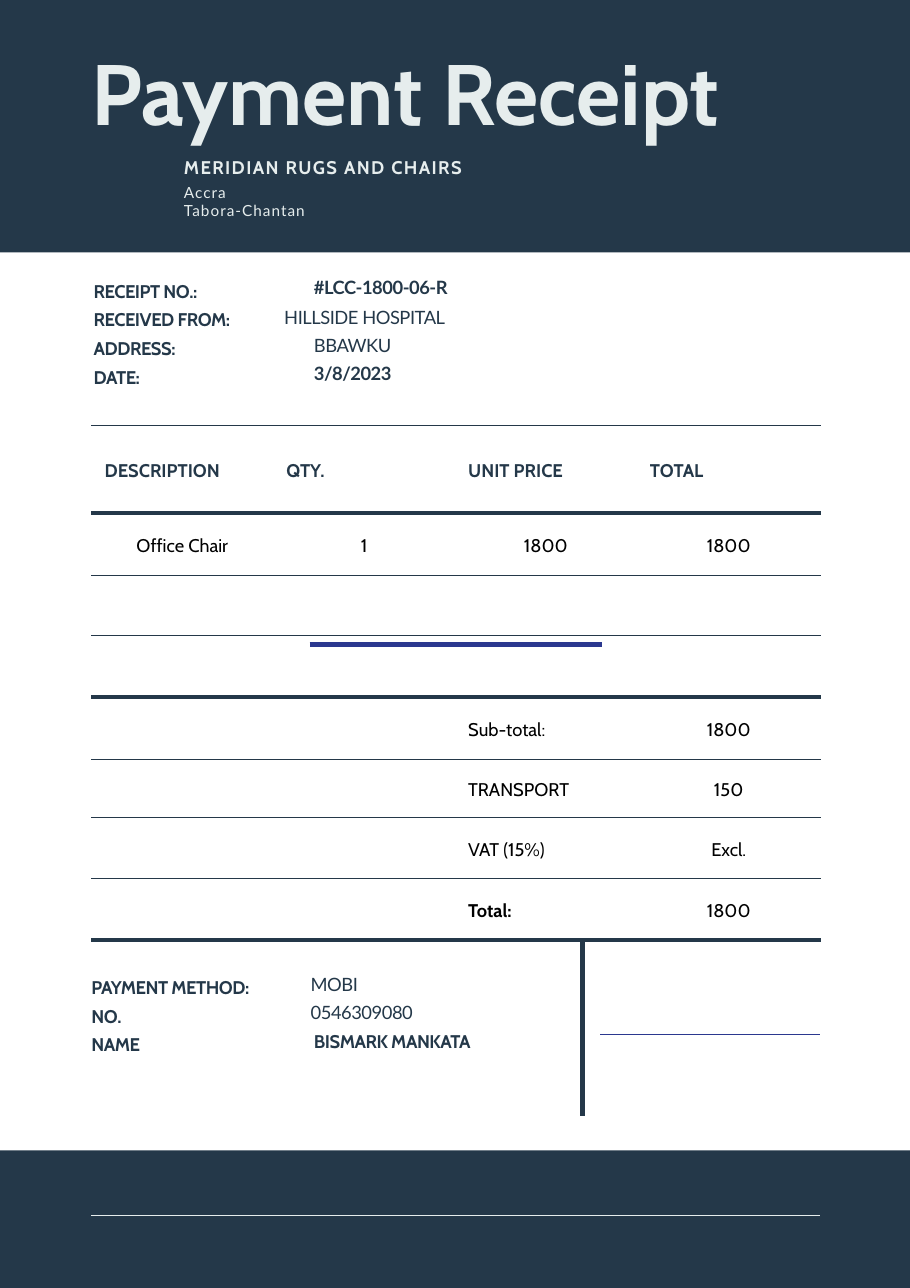
from lxml import etree
from pptx import Presentation, util as u
from pptx.dml.color import RGBColor
from pptx.enum import shapes, text
from pptx.oxml import ns

PX = 9144
COLORS = {"navy": "243849", "pale": "E6EDED", "blue": "2B388F", "black": "000000"}
COLUMNS = (165, 165, 165, 167)
ROW_HEIGHTS = (80, 56, 55, 56, 56, 53, 55, 56)
RULES = (0.75, 3, 0.75, 0.75, 3, 0.75, 0.75, 0.75, 3)
ROWS = (
    ("DESCRIPTION", "QTY.", "UNIT PRICE", "TOTAL"),
    ("Office Chair", "1", "1800", "1800"),
    ("", "", "", ""),
    ("", "", "", ""),
    ("", "", "Sub-total:", "1800"),
    ("", "", "TRANSPORT", "150"),
    ("", "", "VAT (15%)", "Excl."),
    ("", "", "Total:", "1800"),
)


def px(length):
    """Turn px into EMU."""
    return u.Emu(round(length * PX))


def style(paragraph, font="Cabin", size=12, color="navy", bold=False, spacing=0, leading=1.2):
    """Set the type of one paragraph."""
    paragraph.line_spacing = u.Pt(size * leading)
    paragraph.font.name = font
    paragraph.font.size = u.Pt(size)
    paragraph.font.bold = bold
    paragraph.font.color.rgb = RGBColor.from_string(COLORS[color])
    if spacing:
        paragraph._p.pPr.find(ns.qn("a:defRPr")).set("spc", str(round(spacing * 100)))


def add_text(slide, left, top, width, height, lines, **look):
    """Add a text box without margins."""
    frame = slide.shapes.add_textbox(px(left), px(top), px(width), px(height)).text_frame
    frame.word_wrap = True
    frame.margin_left = frame.margin_top = frame.margin_right = frame.margin_bottom = 0
    frame.text = lines
    for paragraph in frame.paragraphs:
        style(paragraph, **look)


def add_band(slide, left, top, width, height):
    """Add a dark band."""
    band = slide.shapes.add_shape(
        shapes.MSO_SHAPE.RECTANGLE, px(left), px(top), px(width), px(height))
    band.shadow.inherit = False
    band.fill.solid()
    band.fill.fore_color.rgb = RGBColor.from_string(COLORS["navy"])
    band.line.fill.background()


def add_line(slide, start, end, color, weight):
    """Add a straight line without a shadow."""
    line = slide.shapes.add_connector(
        shapes.MSO_CONNECTOR.STRAIGHT, *(px(value) for value in start + end))
    line.line.color.rgb = RGBColor.from_string(COLORS[color])
    line.line.width = u.Pt(weight)
    etree.SubElement(line._element.spPr, ns.qn("a:effectLst"))


def set_borders(cell, top, bottom):
    """Rule a cell above and below and leave its sides open."""
    properties = cell._tc.get_or_add_tcPr()
    for index, (side, weight) in enumerate(
            (("L", 0), ("R", 0), ("T", top), ("B", bottom))):
        border = etree.Element(ns.qn(f"a:ln{side}"), w=str(u.Pt(weight)))
        if weight:
            fill = etree.SubElement(border, ns.qn("a:solidFill"))
            etree.SubElement(fill, ns.qn("a:srgbClr"), val=COLORS["navy"])
        else:
            etree.SubElement(border, ns.qn("a:noFill"))
        properties.insert(index, border)


def fill_cell(cell, value, row, column):
    """Write and rule one table cell."""
    cell.fill.background()
    set_borders(cell, RULES[row], RULES[row + 1])
    cell.vertical_anchor = text.MSO_ANCHOR.MIDDLE
    cell.text = value
    if value:
        cell.margin_left = cell.margin_right = cell.margin_top = cell.margin_bottom = px(12)
    paragraph = cell.text_frame.paragraphs[0]
    if row == 1 or (row > 1 and column == 3):
        paragraph.alignment = text.PP_ALIGN.CENTER
    style(paragraph, color="black" if row else "navy",
          bold=row == 0 or value == "Total:", leading=1.4)


def add_items(slide, left, top, width, height):
    """Build the table of items and sums."""
    table = slide.shapes.add_table(
        len(ROWS), len(COLUMNS), px(left), px(top), px(width), px(height)).table
    table.first_row = table.horz_banding = False
    for column, column_width in zip(table.columns, COLUMNS):
        column.width = px(column_width)
    for row, values in enumerate(ROWS):
        table.rows[row].height = px(ROW_HEIGHTS[row])
        for column, value in enumerate(values):
            fill_cell(table.cell(row, column), value, row, column)
    add_line(slide, (left + 198, top + 199), (left + 463, top + 199), "blue", 3)


def add_header(slide, left, top, width, height):
    """Build the title band with the sender."""
    add_band(slide, left, top, width, height)
    add_text(slide, left + 83, top + 36, 662, 93, "Payment Receipt",
             size=56, color="pale", bold=True)
    add_text(slide, left + 167, top + 142, 315, 20, "MERIDIAN RUGS AND CHAIRS",
             color="pale", bold=True, spacing=0.9)
    add_text(slide, left + 167, top + 166, 346, 36, "Accra\nTabora-Chantan",
             font="Lato", size=10, color="pale", spacing=0.7)


def add_fields(slide, left, top, width, fields):
    """Build evenly spaced labels, each with its value."""
    for index, (label, value, indent, drop, look) in enumerate(fields):
        y = top + index * 26
        add_text(slide, left, y, 186, 20, label, bold=True, spacing=-0.3)
        add_text(slide, left + indent, y + drop, width - indent, 23, value,
                 spacing=-0.3, **look)


def add_payment(slide, left, top, width, height):
    """Build the payment details and the signature line."""
    plain = {"font": "Lato"}
    add_fields(slide, left, top + 34, 440, (
        ("PAYMENT METHOD:", "MOBI", 199, -3, plain),
        ("NO.", "0546309080", 199, -3, plain),
        ("NAME", "BISMARK MANKATA", 202, -3, {"bold": True}),
    ))
    add_line(slide, (left + 446, top), (left + 446, top + height), "navy", 3)
    add_line(slide, (left + 462, top + 87), (left + width, top + 87), "blue", 0.75)


def add_footer(slide, left, top, width, height):
    """Build the bottom band with its rule."""
    add_band(slide, left, top, width, height)
    add_line(slide, (left + 83, top + 59), (left + 744, top + 59), "pale", 0.75)


def main():
    """Build and save the receipt."""
    presentation = Presentation()
    presentation.slide_width, presentation.slide_height = px(826), px(1169)
    slide = presentation.slides.add_slide(presentation.slide_layouts[6])
    plain, strong = {"font": "Lato"}, {"font": "Lato", "bold": True}
    add_header(slide, 0, 0, 826, 229)
    add_fields(slide, 85, 254, 544, (
        ("RECEIPT NO.:", "#LCC-1800-06-R", 200, -3, strong),
        ("RECEIVED FROM:", "HILLSIDE HOSPITAL", 173, -2, plain),
        ("ADDRESS:", "BBAWKU", 200, -3, plain),
        ("DATE:", "3/8/2023", 200, -3, strong),
    ))
    add_items(slide, 83, 386, sum(COLUMNS), sum(ROW_HEIGHTS))
    add_payment(slide, 83, 852, 661, 161)
    add_footer(slide, 0, 1044, 826, 125)
    presentation.save("out.pptx")


if __name__ == "__main__":
    main()
